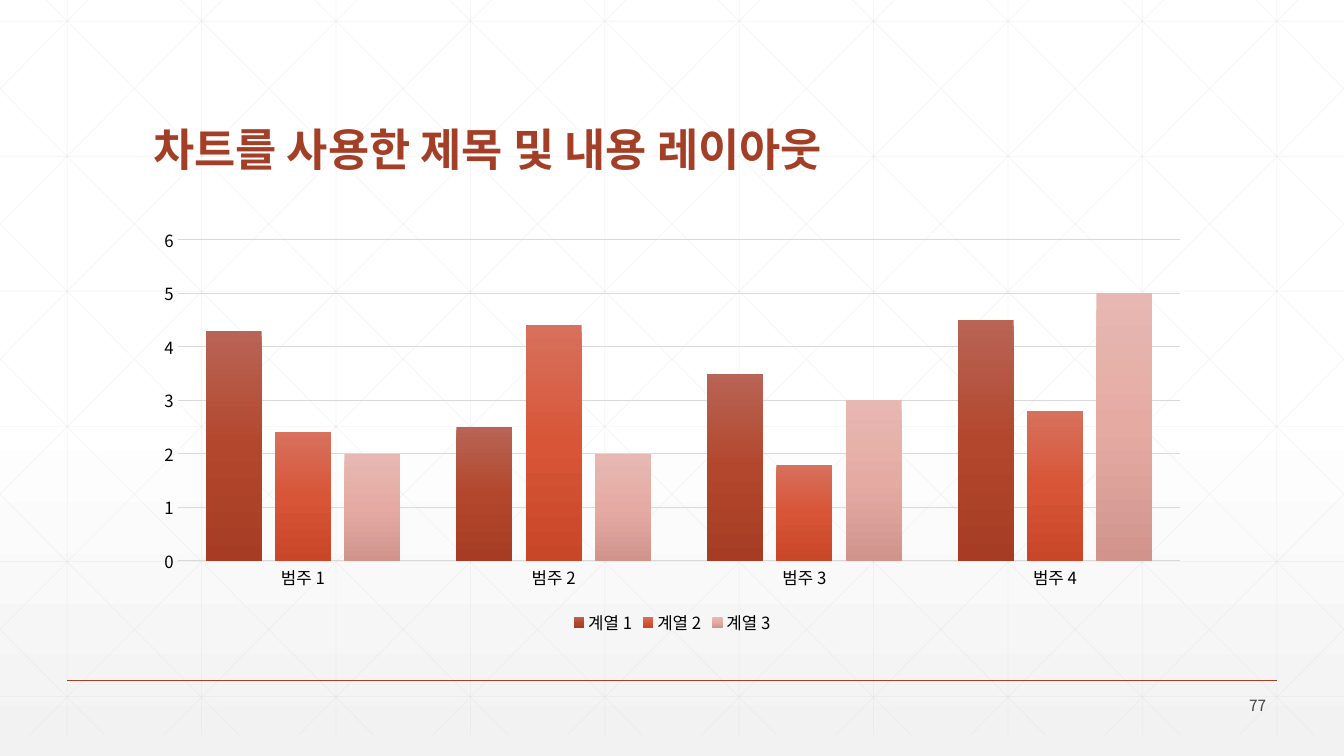
from lxml.etree import SubElement
from pptx import Presentation
from pptx.chart.data import CategoryChartData
from pptx.dml.color import RGBColor as RGB
from pptx.enum.chart import XL_CHART_TYPE as CT, XL_LEGEND_POSITION as LP, XL_TICK_MARK as TM
from pptx.enum.shapes import MSO_CONNECTOR as MC
from pptx.enum.text import MSO_ANCHOR as MA, PP_ALIGN as PA
from pptx.oxml.ns import qn
from pptx.util import Inches, Pt

THEME = dict(
    font="Noto Sans CJK KR", accent="A43F27", rule="D9D9D9", number="424342", label="000000",
    title_pt=32, label_pt=12, number_pt=11,
    # gradient stops: position, colour, opacity (percent)
    page=[(0, "FFFFFF", 100), (53, "FFFFFF", 100), (100, "F2F2F2", 65)],
    bars=[
        [(0, "B86456", 100), (50, "B3472D", 100), (100, "A53C23", 100)],
        [(0, "D7705D", 100), (50, "D85537", 100), (100, "C84728", 100)],
        [(0, "E7B8B2", 100), (50, "E5ABA3", 100), (100, "D0948D", 100)],
    ],
)
W, H = 13.333, 7.5
COL = W / 10
MARGIN = COL / 2

prs = Presentation()
prs.slide_width, prs.slide_height = Inches(W), Inches(H)
s = prs.slides.add_slide(prs.slide_layouts[6])


def paint(fill, root, stops):
    """Fill with a top-to-bottom gradient."""
    fill.gradient()
    fill.gradient_angle = 270
    gs_list = root.find(".//" + qn("a:gsLst"))
    for gs in list(gs_list):
        gs_list.remove(gs)
    for pos, color, opacity in stops:
        gs = SubElement(gs_list, qn("a:gs"), pos=str(pos * 1000))
        clr = SubElement(gs, qn("a:srgbClr"), val=color)
        if opacity < 100:
            SubElement(clr, qn("a:alpha"), val=str(opacity * 1000))


def line(x1, y1, x2, y2, color, width, opacity=100):
    c = s.shapes.add_connector(MC.STRAIGHT, *map(Inches, (x1, y1, x2, y2)))
    c.line.color.rgb = RGB.from_string(color)
    c.line.width = Pt(width)
    sp_pr = c._element.spPr
    SubElement(sp_pr, qn("a:effectLst"))
    if opacity < 100:
        SubElement(sp_pr.find(".//" + qn("a:srgbClr")), qn("a:alpha"), val=str(opacity * 1000))


# Background
paint(s.background.fill, s.element, THEME["page"])

# Lattice: verticals, horizontals, then mirrored diagonals cut at the slide edges
BOTTOM, OFFSET, SLOPE = 7.29, 0.21, 0.994
lattice = [((i + 0.5) * COL, 0, (i + 0.5) * COL, BOTTOM) for i in range(10)]
lattice += [(0, OFFSET + 1.34 * i, W, OFFSET + 1.34 * i) for i in range(6)]
for k in range(-5, 10):
    start = 0.25 + k * COL
    y1 = max(0, -start / SLOPE - OFFSET)
    y2 = min(BOTTOM, (W - start) / SLOPE - OFFSET)
    x1, x2 = (start + SLOPE * (y + OFFSET) for y in (y1, y2))
    lattice += [(x1, y1, x2, y2), (W - x1, y1, W - x2, y2)]
for ends in lattice:
    line(*ends, THEME["rule"], 0.5, 25)

# Footer rule
line(MARGIN, 0.9 * H, W - MARGIN, 0.9 * H, THEME["accent"], 1)

# Title and slide number
texts = [
    ("차트를 사용한 제목 및 내용 레이아웃", (1.42, 0.55, 10.5, 1.25),
     "title_pt", "accent", True, MA.BOTTOM, PA.LEFT, 0.9),
    ("77", (11.66, 6.88, 1, 0.24), "number_pt", "number", False, MA.MIDDLE, PA.RIGHT, 1.0),
]
for text, box, size, color, bold, anchor, align, spacing in texts:
    tf = s.shapes.add_textbox(*map(Inches, box)).text_frame
    tf.word_wrap, tf.vertical_anchor = True, anchor
    p = tf.paragraphs[0]
    p.alignment, p.line_spacing = align, spacing
    r = p.add_run()
    r.text = text
    r.font.name, r.font.size, r.font.bold = THEME["font"], Pt(THEME[size]), bold
    r.font.color.rgb = RGB.from_string(THEME[color])
    SubElement(r.font._element, qn("a:ea"), typeface=THEME["font"])

# Column chart
data = CategoryChartData()
data.categories = [f"범주 {i}" for i in range(1, 5)]
for i, values in enumerate([(4.3, 2.5, 3.5, 4.5), (2.4, 4.4, 1.8, 2.8), (2, 2, 3, 5)], 1):
    data.add_series(f"계열 {i}", values)
box = map(Inches, (1.42, 2.17, 10.5, 4.17))
chart = s.shapes.add_chart(CT.COLUMN_CLUSTERED, *box, data).chart
chart.has_title = False
chart.has_legend = True
chart.legend.position, chart.legend.include_in_layout = LP.BOTTOM, False

plot = chart.plots[0]
plot.gap_width, plot.overlap, plot.vary_by_categories = 100, -24, False
for series, stops in zip(plot.series, THEME["bars"]):
    paint(series.format.fill, series._element, stops)

cat, val = chart.category_axis, chart.value_axis
val.minimum_scale, val.maximum_scale, val.major_unit = 0, 6, 1
val.has_major_gridlines = True
val.format.line.fill.background()
for ln in (cat.format.line, val.major_gridlines.format.line):
    ln.color.rgb = RGB.from_string(THEME["rule"])
    ln.width = Pt(0.75)
for axis in (cat, val):
    axis.major_tick_mark = axis.minor_tick_mark = TM.NONE
for font in (chart.font, chart.legend.font, cat.tick_labels.font, val.tick_labels.font):
    font.name, font.size = THEME["font"], Pt(THEME["label_pt"])
    font.color.rgb = RGB.from_string(THEME["label"])
    SubElement(font._element, qn("a:ea"), typeface=THEME["font"])

prs.save("out.pptx")
